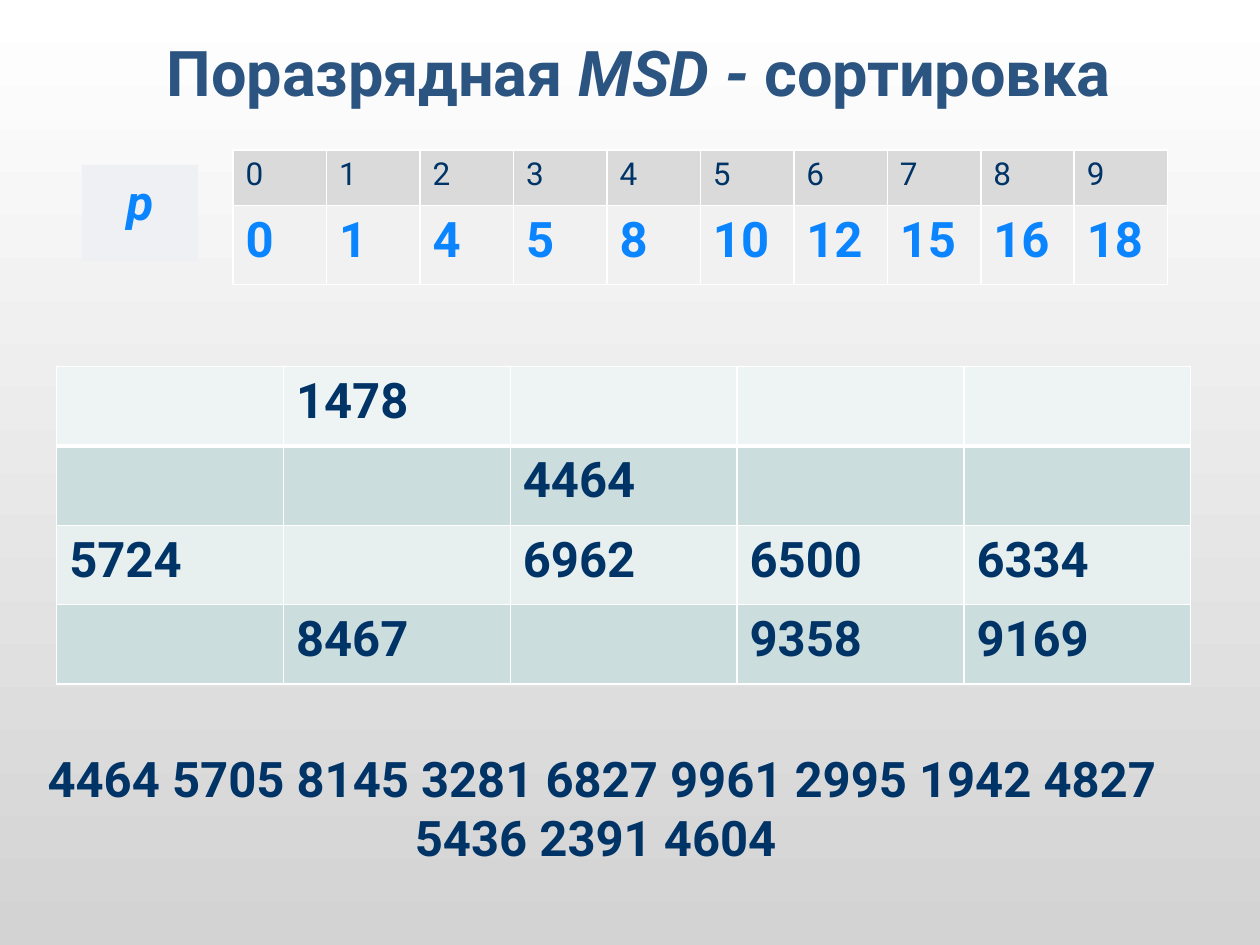
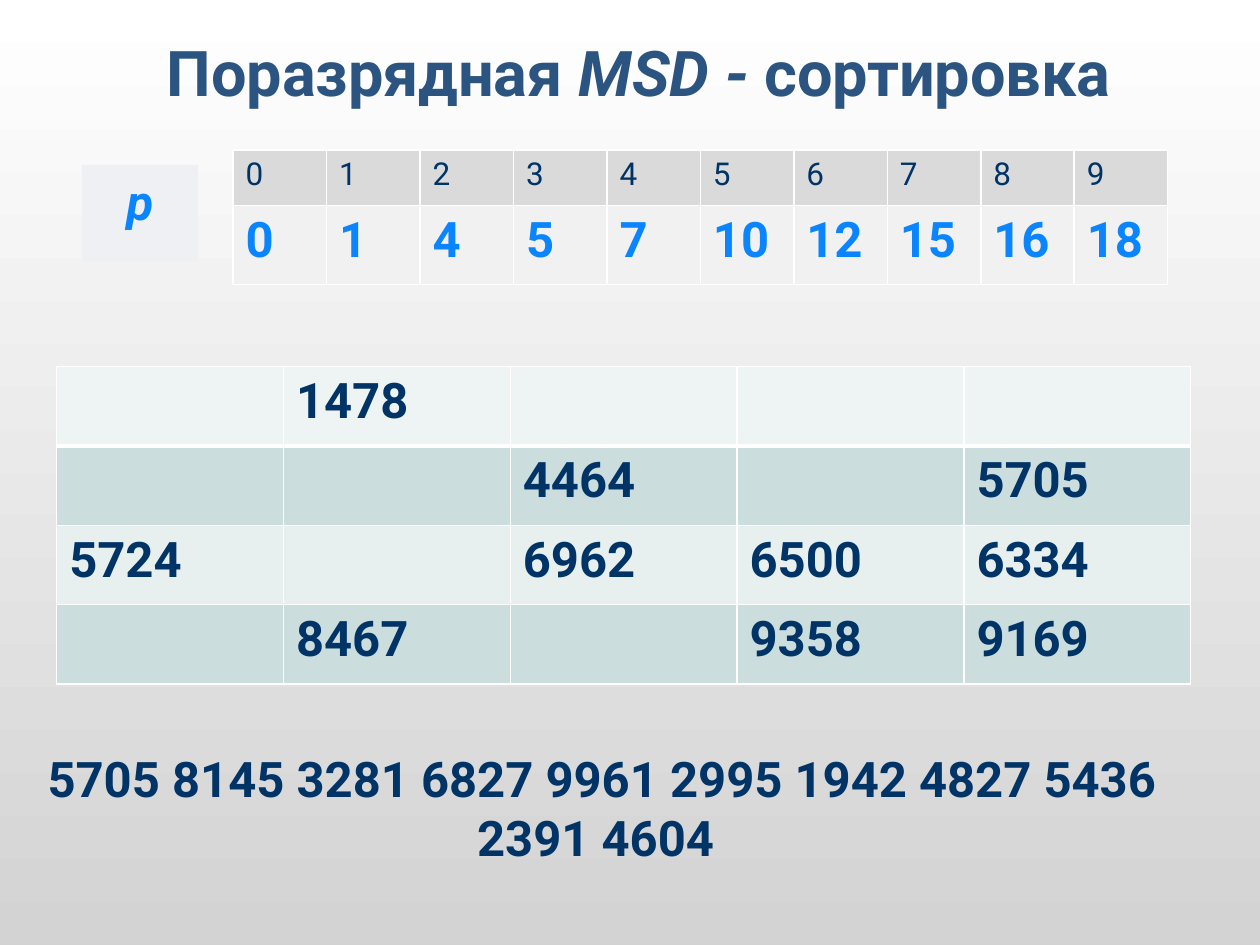
from lxml.etree import SubElement
from pptx import Presentation
from pptx.dml.color import RGBColor
from pptx.enum.shapes import MSO_SHAPE
from pptx.enum.text import MSO_ANCHOR, PP_ALIGN
from pptx.oxml.ns import qn
from pptx.util import Inches, Pt

TITLE = [("Поразрядная ", False), ("MSD - ", True), ("сортировка", False)]
DIGITS = range(10)
QUEUE = [4464, 5705, 8145, 3281, 6827, 9961, 2995, 1942, 4827, 5436, 2391, 4604]
STEPS = [
    {
        "p": [0, 1, 4, 5, 8, 10, 12, 15, 16, 18],
        "array": [
            ["", 1478, "", "", ""],
            ["", "", 4464, "", ""],
            [5724, "", 6962, 6500, 6334],
            ["", 8467, "", 9358, 9169],
        ],
        "queue": QUEUE,
    },
    {
        "p": [0, 1, 4, 5, 7, 10, 12, 15, 16, 18],
        "array": [
            ["", 1478, "", "", ""],
            ["", "", 4464, "", 5705],
            [5724, "", 6962, 6500, 6334],
            ["", 8467, "", 9358, 9169],
        ],
        "queue": QUEUE[1:],
    },
]

FONT = "Roboto"
WHITE, GREY = "FFFFFF", "D3D3D3"
NAVY, BLUE, TITLE_BLUE = "003366", "0A85FF", "2B5481"
LABEL_FILL = "EEF0F3"
ARRAY_FILLS = ["EEF4F4", "CCDDDD", "E7EFEF", "CCDDDD"]
THIN, THICK = 0.96, 3

# Row styles: height, fill, text size, text colour, bold
ARRAY_ROWS = [(0.63, fill, 28, NAVY, True) for fill in ARRAY_FILLS]
P_ROWS = [(0.44, "DADADA", 18, NAVY, False), (0.63, "F1F1F1", 28, BLUE, True)]


def rgb(code):
    return RGBColor.from_string(code)


def style(r, size, color, bold=True, italic=False):
    r.font.name, r.font.size = FONT, Pt(size)
    r.font.bold, r.font.italic = bold, italic
    r.font.color.rgb = rgb(color)


def add_border(cell, side, width):
    """Draw one white border; side is L, R, T or B."""
    ln = SubElement(cell._tc.get_or_add_tcPr(), qn(f"a:ln{side}"), w=str(Pt(width)))
    fill = SubElement(ln, qn("a:solidFill"))
    SubElement(fill, qn("a:srgbClr"), val=WHITE)


def add_grid(s, left, top, width, values, row_styles, rule_after=None):
    """Add a table; a thick line follows the row numbered rule_after."""
    n_cols = len(values[0])
    height = sum(row[0] for row in row_styles)
    table = s.shapes.add_table(len(values), n_cols, Inches(left), Inches(top),
                               Inches(width), Inches(height)).table
    table.first_row = table.horz_banding = False
    for col in table.columns:
        col.width = Inches(width / n_cols)
    for i, (row_height, fill, size, color, bold) in enumerate(row_styles):
        table.rows[i].height = Inches(row_height)
        above = THICK if i - 1 == rule_after else THIN
        below = THICK if i == rule_after else THIN
        for j, value in enumerate(values[i]):
            cell = table.cell(i, j)
            for side, line in zip("LRTB", (THIN, THIN, above, below)):
                add_border(cell, side, line)
            cell.fill.solid()
            cell.fill.fore_color.rgb = rgb(fill)
            p = cell.text_frame.paragraphs[0]
            p.text = str(value)
            for r in p.runs:
                style(r, size, color, bold)


def add_text(s, box, runs, size, color, anchor=MSO_ANCHOR.TOP, fill=None):
    """Add centred text from (text, italic) runs, on a rectangle if filled."""
    box = [Inches(v) for v in box]
    if fill:
        sp = s.shapes.add_shape(MSO_SHAPE.RECTANGLE, *box)
        sp.shadow.inherit = False
        sp.fill.solid()
        sp.fill.fore_color.rgb = rgb(fill)
        sp.line.fill.background()
    else:
        sp = s.shapes.add_textbox(*box)
    tf = sp.text_frame
    tf.word_wrap, tf.vertical_anchor = True, anchor
    p = tf.paragraphs[0]
    p.alignment = PP_ALIGN.CENTER
    for text, italic in runs:
        r = p.add_run()
        r.text = text
        style(r, size, color, italic=italic)


def paint_background(s):
    fill = s.background.fill
    fill.gradient()
    fill.gradient_angle = 270
    for stop, color in zip(fill.gradient_stops, (WHITE, GREY)):
        stop.color.rgb = rgb(color)


def add_step(prs, step):
    s = prs.slides.add_slide(prs.slide_layouts[6])
    paint_background(s)
    add_grid(s, 0.45, 2.91, 9, step["array"], ARRAY_ROWS, rule_after=0)
    add_text(s, (0.57, 0.32, 9, 0.5), TITLE, 36, TITLE_BLUE, MSO_ANCHOR.MIDDLE)
    add_text(s, (0.65, 1.31, 0.92, 0.76), [("p", True)], 28, BLUE, fill=LABEL_FILL)
    add_grid(s, 1.85, 1.19, 7.42, [DIGITS, step["p"]], P_ROWS)
    queue = "".join(f"{number} " for number in step["queue"])
    add_text(s, (0, 5.89, 9.55, 1.03), [(queue, False)], 28, NAVY)


def main():
    prs = Presentation()
    prs.slide_width, prs.slide_height = Inches(10), Inches(7.5)
    for step in STEPS:
        add_step(prs, step)
    prs.save("out.pptx")


if __name__ == "__main__":
    main()
